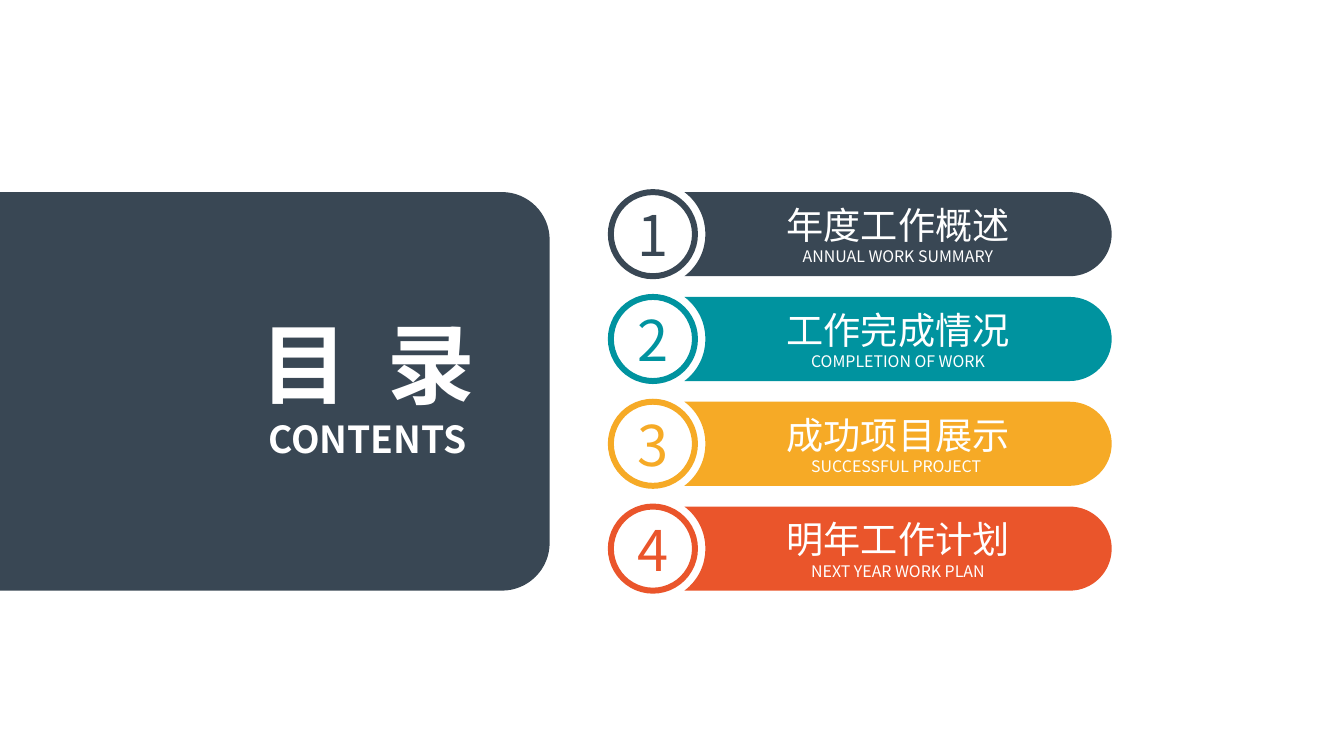
from dataclasses import dataclass
from math import cos, radians, sin, tan

from lxml import etree
from pptx import Presentation
from pptx.dml.color import RGBColor
from pptx.enum import shapes, text
from pptx.oxml import ns
from pptx.util import Inches, Pt


@dataclass(frozen=True)
class Theme:
    font: str = "Noto Sans CJK SC"
    white: str = "FFFFFF"
    slate: str = "394754"
    teal: str = "00939F"
    amber: str = "F6AA26"
    orange: str = "EA552B"
    title: float = 66
    heading: float = 28
    caption: float = 12
    number: float = 42.2
    ring: float = 4.5


THEME = Theme()
TOP, BOTTOM = 2.01, 6.18
PANEL_RIGHT, PANEL_CORNER = 5.75, 0.5
BAR_LEFT, BAR_RIGHT, BAR_HEIGHT = 7.16, 11.63, 0.88
CIRCLE_LEFT = 6.39
NOTCH_RADIUS, NOTCH_ANGLE = 0.55, 53.13
TITLE_SPACING = 7.4

SECTIONS = [
    ("年度工作概述", "ANNUAL WORK SUMMARY", THEME.slate),
    ("工作完成情况", "COMPLETION OF WORK", THEME.teal),
    ("成功项目展示", "SUCCESSFUL PROJECT ", THEME.amber),
    ("明年工作计划", "NEXT YEAR WORK PLAN", THEME.orange),
]


def arc(center_x, center_y, radius, start, end):
    """Start, two handles and end of a Bézier arc; degrees run clockwise from the right."""
    first, last = radians(start), radians(end)
    reach = 4 / 3 * tan((last - first) / 4)
    unit_points = [
        (cos(first), sin(first)),
        (cos(first) - reach * sin(first), sin(first) + reach * cos(first)),
        (cos(last) + reach * sin(last), sin(last) - reach * cos(last)),
        (cos(last), sin(last)),
    ]
    return [(center_x + radius * x, center_y + radius * y) for x, y in unit_points]


def paint(shape, fill, line=None):
    shape.shadow.inherit = False
    shape.fill.solid()
    shape.fill.fore_color.rgb = RGBColor.from_string(fill)
    if line:
        shape.line.color.rgb = RGBColor.from_string(line)
        shape.line.width = Pt(THEME.ring)
    else:
        shape.line.fill.background()


def add_outline(slide, pieces, fill):
    """A closed outline whose pieces are single corners or four-point arcs."""
    start, *rest = [(Inches(x), Inches(y)) for piece in pieces for x, y in piece]
    builder = slide.shapes.build_freeform(*start)
    builder.add_line_segments(rest, close=True)
    shape = builder.convert_to_shape()

    commands = list(next(shape._element.iter(ns.qn("a:path"))))
    offset = 0
    for piece in pieces:
        if len(piece) == 4:
            curve = etree.Element(ns.qn("a:cubicBezTo"))
            commands[offset + 1].addprevious(curve)
            for command in commands[offset + 1:offset + 4]:
                curve.append(command[0])
                command.getparent().remove(command)
        offset += len(piece)
    paint(shape, fill)
    return shape


def format_paragraph(paragraph, size, color, bold=False):
    paragraph.alignment = text.PP_ALIGN.CENTER
    for run in paragraph.runs:
        run.font.size = Pt(size)
        run.font.bold = bold
        run.font.color.rgb = RGBColor.from_string(color)
        run.font.name = THEME.font
        east_asian = etree.SubElement(run._r.get_or_add_rPr(), ns.qn("a:ea"))
        east_asian.set("typeface", THEME.font)


def prepare_frame(shape, anchor=text.MSO_ANCHOR.MIDDLE):
    frame = shape.text_frame
    frame.margin_left = frame.margin_right = 0
    frame.margin_top = frame.margin_bottom = 0
    frame.word_wrap = True
    frame.vertical_anchor = anchor
    return frame


def add_panel(slide):
    inner_x = PANEL_RIGHT - PANEL_CORNER
    pieces = [
        [(0, TOP)],
        arc(inner_x, TOP + PANEL_CORNER, PANEL_CORNER, -90, 0),
        arc(inner_x, BOTTOM - PANEL_CORNER, PANEL_CORNER, 0, 90),
        [(0, BOTTOM)],
    ]
    add_outline(slide, pieces, THEME.slate)


def add_bar(slide, top, heading, caption, color):
    """A bar with a round right end and a notch that follows the number circle."""
    radius = BAR_HEIGHT / 2
    middle = top + radius
    end_x = BAR_RIGHT - radius
    notch_x = BAR_LEFT - NOTCH_RADIUS * cos(radians(NOTCH_ANGLE))
    pieces = [
        arc(end_x, middle, radius, -90, 0),
        arc(end_x, middle, radius, 0, 90),
        arc(notch_x, middle, NOTCH_RADIUS, NOTCH_ANGLE, -NOTCH_ANGLE),
    ]
    frame = prepare_frame(add_outline(slide, pieces, color))
    frame.text = f"{heading}\n{caption}"
    for paragraph, size in zip(frame.paragraphs, (THEME.heading, THEME.caption)):
        format_paragraph(paragraph, size, THEME.white)


def add_number(slide, top, number, color):
    circle = slide.shapes.add_shape(
        shapes.MSO_SHAPE.OVAL, Inches(CIRCLE_LEFT), Inches(top),
        Inches(BAR_HEIGHT), Inches(BAR_HEIGHT))
    paint(circle, THEME.white, color)
    frame = prepare_frame(circle)
    frame.text = str(number)
    format_paragraph(frame.paragraphs[0], THEME.number, color)


def add_label(slide, left, top, width, height, parts, size, anchor, spacing=0):
    """A bold white line; spacing in points widens every part but the last."""
    box = slide.shapes.add_textbox(
        Inches(left), Inches(top), Inches(width), Inches(height))
    paragraph = prepare_frame(box, anchor).paragraphs[0]
    for part in parts:
        paragraph.add_run().text = part
    format_paragraph(paragraph, size, THEME.white, bold=True)
    for run in paragraph.runs[:-1]:
        run._r.get_or_add_rPr().set("spc", str(round(spacing * 100)))


def main():
    presentation = Presentation()
    presentation.slide_width = Inches(14.06)
    presentation.slide_height = Inches(7.91)
    slide = presentation.slides.add_slide(presentation.slide_layouts[6])

    add_panel(slide)
    pitch = (BOTTOM - TOP - BAR_HEIGHT) / (len(SECTIONS) - 1)
    for index, (heading, caption, color) in enumerate(SECTIONS):
        top = TOP + index * pitch
        add_bar(slide, top, heading, caption, color)
        add_number(slide, top, index + 1, color)
    add_label(slide, 2.28, 3.24, 3.14, 1.11, ["目 ", "录"],
              THEME.title, text.MSO_ANCHOR.MIDDLE, TITLE_SPACING)
    add_label(slide, 2.29, 4.36, 3.11, 0.47, ["CONTENTS"],
              THEME.heading, text.MSO_ANCHOR.TOP)

    presentation.save("out.pptx")


if __name__ == "__main__":
    main()
